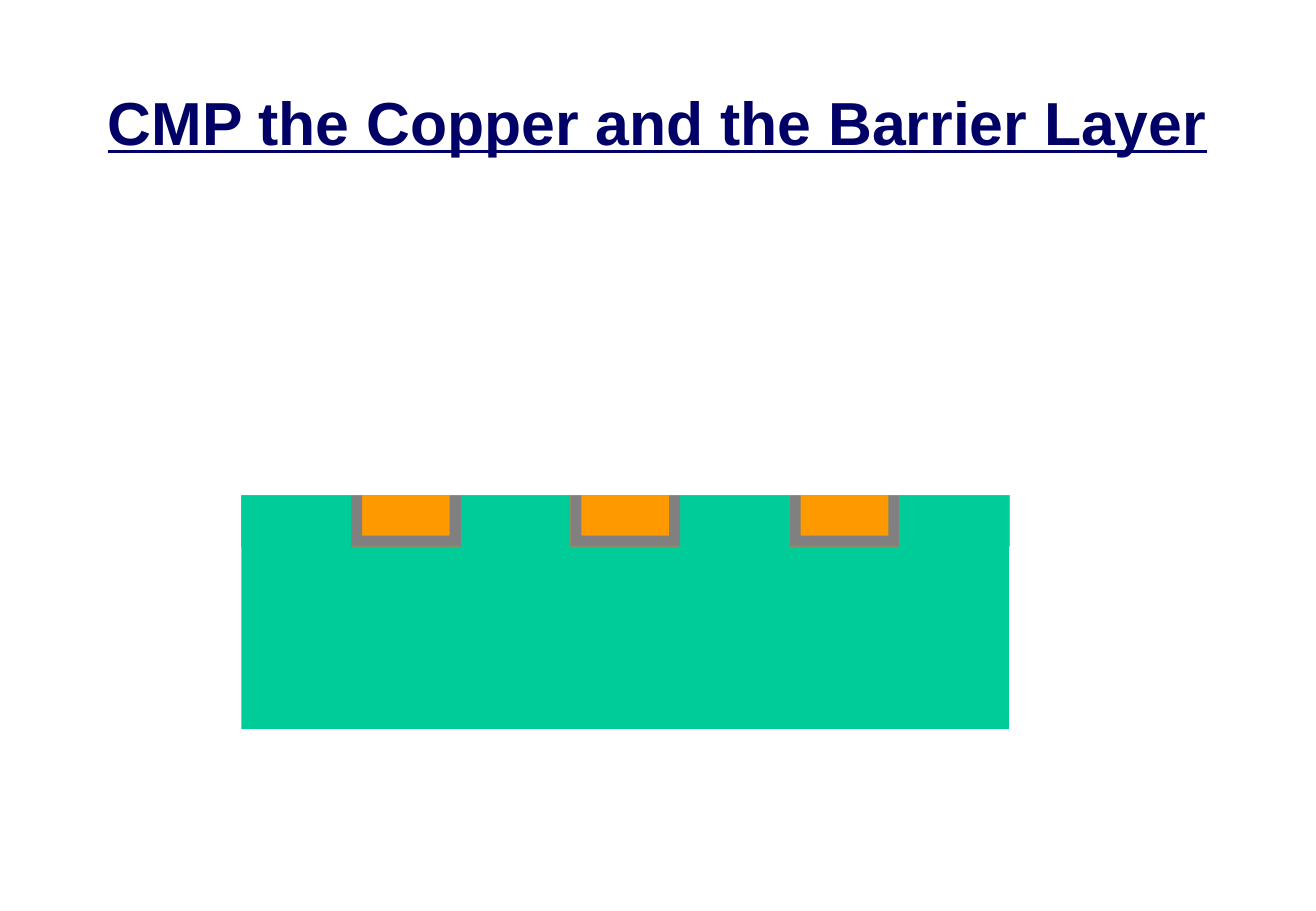
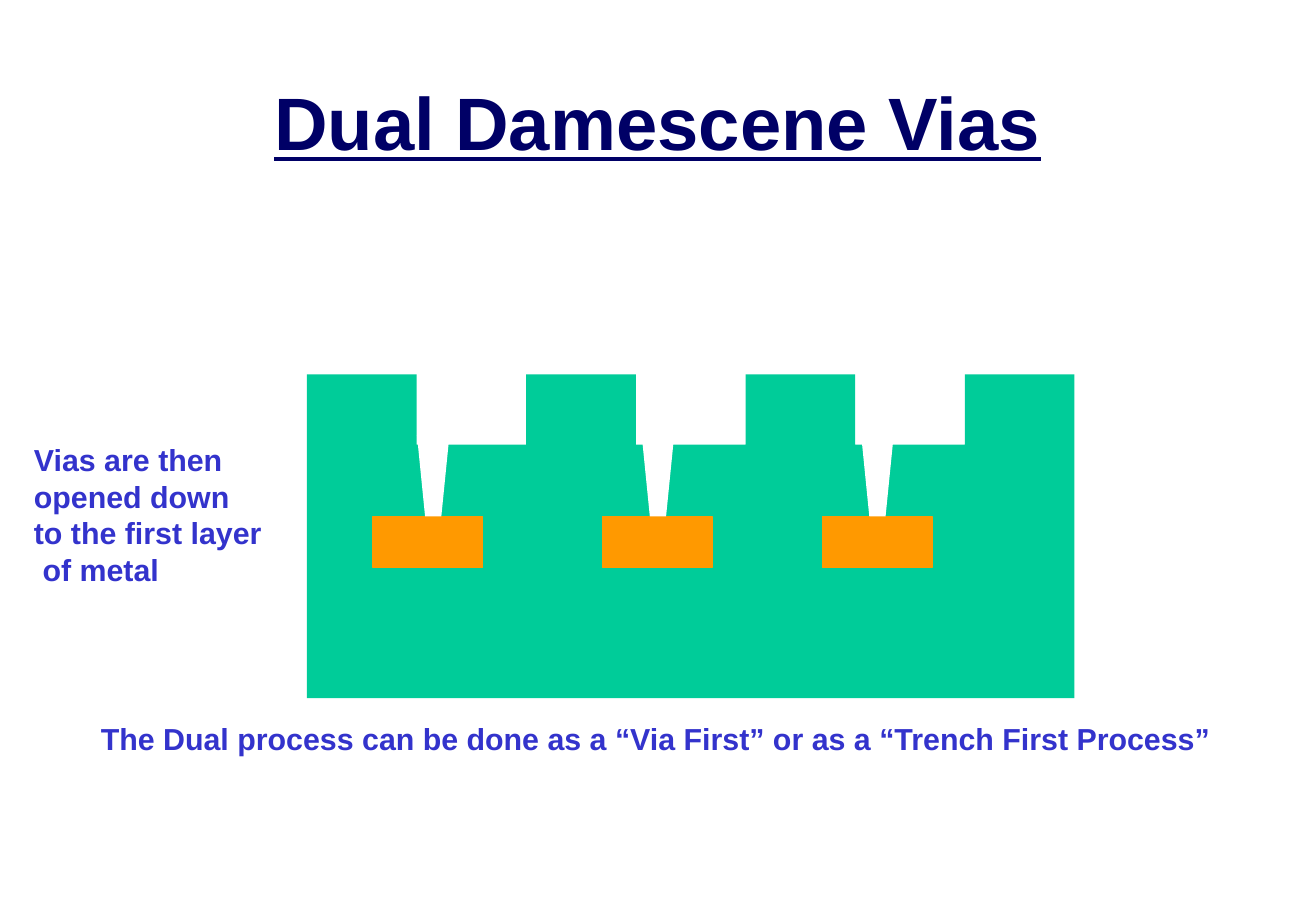
from dataclasses import dataclass

import pptx
import pptx.dml.color
import pptx.enum.shapes
import pptx.enum.text
import pptx.util

Cm = pptx.util.Cm


@dataclass(frozen=True)
class Theme:
    font: str = "Arial"
    title: str = "000066"
    note: str = "3333CC"
    oxide: str = "00CC99"
    copper: str = "FF9900"
    barrier: str = "808080"
    background: str = "FFFFFF"
    note_size: int = 18
    copper_line: int = 1


THEME = Theme()
BODY_WIDTH = 16.05
STEP = BODY_WIDTH / 7  # walls and trenches alternate, all equally wide
METAL_HEIGHT = 1.07
TRENCHES = (1, 3, 5)


def rgb(value):
    return pptx.dml.color.RGBColor.from_string(value)


def set_attributes(target, values):
    for name, value in values.items():
        setattr(target, name, value)


def format_font(paragraph, size, color, underline=None):
    font = paragraph.font
    set_attributes(font, {"name": THEME.font, "size": pptx.util.Pt(size),
                          "bold": True, "underline": underline})
    font.color.rgb = rgb(color)


def format_frame(frame, anchor, wrap):
    set_attributes(frame, {
        "margin_left": Cm(0.25), "margin_right": Cm(0.25),
        "margin_top": Cm(0.13), "margin_bottom": Cm(0.13),
        "vertical_anchor": anchor, "word_wrap": wrap,
        "auto_size": pptx.enum.text.MSO_AUTO_SIZE.NONE,
    })


def add_titled_slide(presentation, text, size):
    slide = presentation.slides.add_slide(presentation.slide_layouts[5])
    title = slide.shapes.title
    set_attributes(title, {"left": Cm(1.14), "top": Cm(0.94),
                           "width": Cm(25.22), "height": Cm(3.18)})
    format_frame(title.text_frame, pptx.enum.text.MSO_ANCHOR.MIDDLE, True)
    title.text_frame.text = text
    paragraph = title.text_frame.paragraphs[0]
    paragraph.alignment = pptx.enum.text.PP_ALIGN.CENTER
    format_font(paragraph, size, THEME.title, underline=True)
    return slide


def paint(shape, color):
    shape.shadow.inherit = False
    shape.fill.solid()
    shape.fill.fore_color.rgb = rgb(color)
    shape.line.fill.background()


def add_outline(slide, points, color):
    """Draw a closed, filled outline through points given in centimetres."""
    start, *others = [(Cm(x), Cm(y)) for x, y in points]
    builder = slide.shapes.build_freeform(*start)
    builder.add_line_segments(others, close=True)
    paint(builder.convert_to_shape(), color)


def add_copper(slide, left, top, width):
    shape = slide.shapes.add_shape(
        pptx.enum.shapes.MSO_SHAPE.RECTANGLE,
        Cm(left), Cm(top), Cm(width), Cm(METAL_HEIGHT))
    paint(shape, THEME.copper)
    shape.line.color.rgb = rgb(THEME.copper)
    shape.line.width = pptx.util.Pt(THEME.copper_line)


def add_oxide(slide, left, top, bottom, depth):
    """Draw the oxide block with trenches cut into its top."""
    points = [(left, bottom), (left, top)]
    for trench in TRENCHES:
        start, end = left + trench * STEP, left + (trench + 1) * STEP
        points += [(start, top), (start, top + depth),
                   (end, top + depth), (end, top)]
    points += [(left + BODY_WIDTH, top), (left + BODY_WIDTH, bottom)]
    add_outline(slide, points, THEME.oxide)


def add_barrier(slide, left, top, thickness=0.23):
    """Draw the U-shaped lining of one trench."""
    right, bottom = left + STEP, top + METAL_HEIGHT
    add_outline(slide, [
        (left, top), (left, bottom), (right, bottom), (right, top),
        (right - thickness, top), (right - thickness, bottom - thickness),
        (left + thickness, bottom - thickness), (left + thickness, top),
    ], THEME.barrier)


def add_via(slide, left, top, bottom, width=0.68, taper=0.17):
    add_outline(slide, [
        (left, top), (left + width, top),
        (left + width - taper, bottom), (left + taper, bottom),
    ], THEME.background)


def add_note(slide, lines, left, top, width, height):
    box = slide.shapes.add_textbox(Cm(left), Cm(top), Cm(width), Cm(height))
    frame = box.text_frame
    format_frame(frame, pptx.enum.text.MSO_ANCHOR.TOP, False)
    frame.text = "\n".join(lines)
    for paragraph in frame.paragraphs:
        format_font(paragraph, THEME.note_size, THEME.note)
    return frame


def build_polish_slide(presentation):
    slide = add_titled_slide(
        presentation, "CMP the Copper and the Barrier Layer", 36)
    left, top = 5.05, 10.36
    add_copper(slide, left, top, BODY_WIDTH)
    add_oxide(slide, left, top, bottom=15.24, depth=METAL_HEIGHT)
    for trench in TRENCHES:
        add_barrier(slide, left + trench * STEP, top)


def build_via_slide(presentation):
    slide = add_titled_slide(presentation, "Dual Damescene Vias", 44)
    metal_top = 10.8
    add_oxide(slide, left=6.42, top=7.83, bottom=14.6, depth=1.47)
    for pad_left in (7.8, 12.6, 17.2):
        add_copper(slide, pad_left, metal_top, STEP)
    for via_left in (8.72, 13.42, 18.01):
        add_via(slide, via_left, 9.1, metal_top)
    frame = add_note(
        slide,
        ["Vias are then", "opened down", "to the first layer", "of metal"],
        0.46, 9.1, 5.26, 3.3)
    last_line = frame.paragraphs[-1]
    last_line._p.get_or_add_pPr().set("marL", str(Cm(0.18)))
    add_note(
        slide,
        ["The Dual process can be done as a “Via First” "
         "or as a “Trench First Process”"],
        1.86, 14.93, 23.93, 1.02)


def main():
    presentation = pptx.Presentation()
    set_attributes(presentation, {"slide_width": Cm(27.52),
                                  "slide_height": Cm(19.05)})
    build_polish_slide(presentation)
    build_via_slide(presentation)
    presentation.save("out.pptx")


if __name__ == "__main__":
    main()
